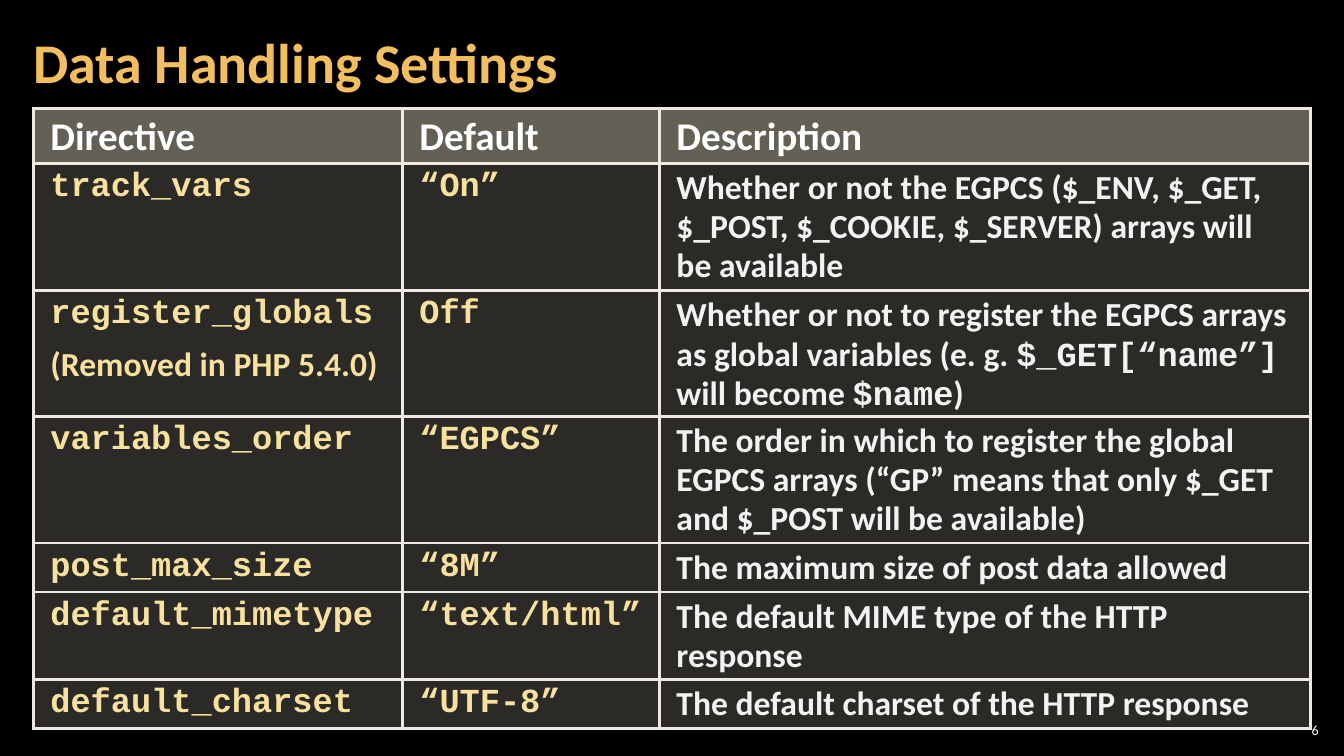
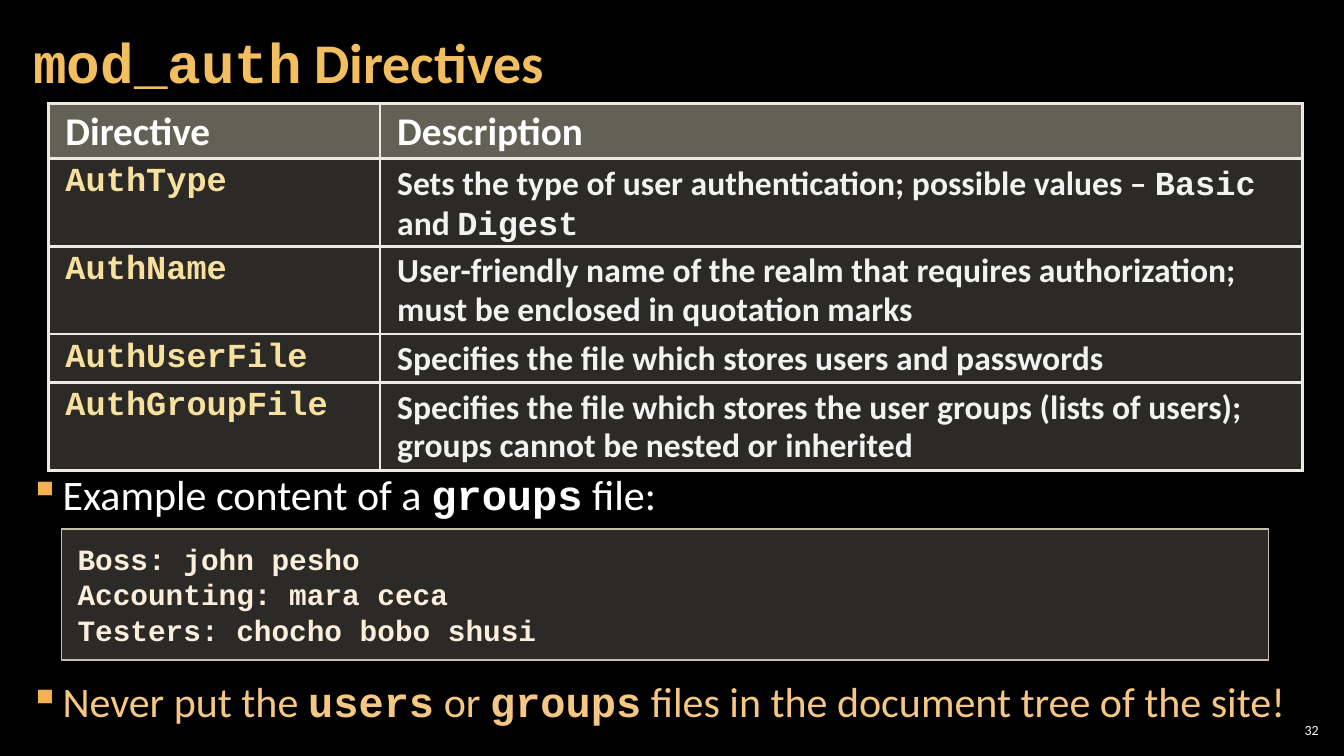
from lxml import etree
from pptx import Presentation
from pptx.dml.color import RGBColor
from pptx.enum.shapes import MSO_SHAPE
from pptx.enum.text import MSO_ANCHOR, MSO_AUTO_SIZE, PP_ALIGN
from pptx.oxml.ns import qn
from pptx.util import Inches, Pt

# Shared style
SANS, MONO = "Calibri", "Courier New"
BLACK = RGBColor(0x00, 0x00, 0x00)
WHITE = RGBColor(0xFF, 0xFF, 0xFF)
TITLE_GOLD = RGBColor(0xF3, 0xBE, 0x60)
BULLET_GOLD = RGBColor(0xF2, 0xB2, 0x54)
WARNING_GOLD = RGBColor(0xF6, 0xC7, 0x82)
CODE_YELLOW = RGBColor(0xF8, 0xE1, 0x9F)
CODE_CREAM = RGBColor(0xFB, 0xEE, 0xDC)
CELL_TEXT = RGBColor(0xF2, 0xF2, 0xF2)
HEADER_FILL = RGBColor(0xC6, 0xC0, 0xAA)
PANEL_FILL = RGBColor(0xD9, 0xD5, 0xC7)
PANEL_LINE = RGBColor(0xC7, 0xBF, 0xAC)
BORDER = RGBColor(0xEC, 0xEA, 0xE3)
HEADER_HEIGHT, CELL_PADDING, LINE_HEIGHT = 0.54, 0.1, 0.385

# Content: text between backticks is code; each row starts with its line count
SETTINGS = {
    "title": "Data Handling Settings",
    "number": "6",
    "position": (0.33, 1.08),
    "columns": (3.66, 2.55, 6.46),
    "header": ("Directive", "Default", "Description"),
    "rows": [
        (3, "`track_vars`", "`“On”`",
         "Whether or not the EGPCS ($_ENV, $_GET, $_POST, $_COOKIE, $_SERVER) "
         "arrays will be available"),
        (3, "`register_globals`\n(Removed in PHP 5.4.0)", "`Off`",
         "Whether or not to register the EGPCS arrays as global variables "
         "(e. g. `$_GET[“name”]` will become `$name`)"),
        (3, "`variables_order`", "`“EGPCS”`",
         "The order in which to register the global EGPCS arrays (“GP” means "
         "that only $_GET and $_POST will be available)"),
        (1, "`post_max_size`", "`“8M”`", "The maximum size of post data allowed"),
        (2, "`default_mimetype`", "`“text/html”`",
         "The default MIME type of the HTTP response"),
        (1, "`default_charset`", "`“UTF-8”`",
         "The default charset of the HTTP response"),
    ],
}
DIRECTIVES = {
    "title": "`mod_auth` Directives",
    "number": "32",
    "position": (0.48, 1.03),
    "columns": (3.29, 9.15),
    "header": ("Directive", "Description"),
    "rows": [
        (2, "`AuthType`",
         "Sets the type of user authentication; possible values – `Basic` and `Digest`"),
        (2, "`AuthName`",
         "User-friendly name of the realm that requires authorization; "
         "must be enclosed in quotation marks"),
        (1, "`AuthUserFile`", "Specifies the file which stores users and passwords"),
        (2, "`AuthGroupFile`",
         "Specifies the file which stores the user groups (lists of users); "
         "groups cannot be nested or inherited"),
    ],
}
# Text, colour, space before in points (the second leaves room for the code box)
BULLETS = [
    ("Example content of a `groups` file:", WHITE, 6),
    ("Never put the `users` or `groups` files in the document tree of the site!",
     WARNING_GOLD, 111),
]
GROUPS_FILE = ["Boss: john pesho", "Accounting: mara ceca", "Testers: chocho bobo shusi"]


def write(paragraph, text, size, color, bold=False):
    """Fill a paragraph; text between backticks is set in bold code type."""
    paragraph.font.size = Pt(size)
    paragraph.font.color.rgb = color
    paragraph.font.bold = bold
    for index, part in enumerate(text.split("`")):
        if part:
            run = paragraph.add_run()
            run.text = part
            is_code = index % 2 == 1
            run.font.name = MONO if is_code else SANS
            run.font.bold = bold or is_code


def set_margins(target, horizontal, vertical):
    target.margin_left = target.margin_right = Inches(horizontal)
    target.margin_top = target.margin_bottom = Inches(vertical)


def set_fill(fill, color, opacity):
    fill.solid()
    fill.fore_color.rgb = color
    # The public API has no transparency
    for node in fill._xPr.find(qn("a:solidFill")):
        etree.SubElement(node, qn("a:alpha"), val=str(opacity * 1000))


def set_borders(cell):
    properties = cell._tc.get_or_add_tcPr()
    for side in ("a:lnL", "a:lnR", "a:lnT", "a:lnB"):
        line = etree.SubElement(properties, qn(side), w=str(Pt(2.25)))
        solid = etree.SubElement(line, qn("a:solidFill"))
        etree.SubElement(solid, qn("a:srgbClr"), val=str(BORDER))


def set_bullet(paragraph):
    properties = paragraph._p.get_or_add_pPr()
    properties.set("marL", str(Inches(0.33)))
    properties.set("indent", str(-Inches(0.33)))
    color = etree.SubElement(properties, qn("a:buClr"))
    etree.SubElement(color, qn("a:srgbClr"), val=str(BULLET_GOLD))
    etree.SubElement(properties, qn("a:buChar"), char="▪")


def add_text_box(slide, left, top, width, height):
    box = slide.shapes.add_textbox(*map(Inches, (left, top, width, height)))
    box.text_frame.word_wrap = True
    return box.text_frame


def add_table(slide, content):
    heights = [HEADER_HEIGHT]
    heights += [CELL_PADDING + LINE_HEIGHT * row[0] for row in content["rows"]]
    rows = [content["header"]] + [row[1:] for row in content["rows"]]
    columns = content["columns"]
    size = (sum(columns), sum(heights))
    table = slide.shapes.add_table(
        len(rows), len(columns), *map(Inches, content["position"] + size)).table
    for column, width in zip(table.columns, columns):
        column.width = Inches(width)
    for row, height in zip(table.rows, heights):
        row.height = Inches(height)
    for row_index, texts in enumerate(rows):
        for column_index, text in enumerate(texts):
            cell = table.cell(row_index, column_index)
            set_margins(cell, 0.17, 0.05)
            set_borders(cell)
            if row_index == 0:
                set_fill(cell.fill, HEADER_FILL, 50)
                size, color = 28, WHITE
            else:
                set_fill(cell.fill, PANEL_FILL, 20)
                is_last = column_index == len(columns) - 1
                size, color = 24, CELL_TEXT if is_last else CODE_YELLOW
            frame = cell.text_frame
            for index, line in enumerate(text.split("\n")):
                paragraph = frame.add_paragraph() if index else frame.paragraphs[0]
                paragraph.line_spacing = 0.95
                if index:
                    paragraph.space_before = Pt(10)
                write(paragraph, line, size, color, bold=True)


def add_table_slide(presentation, content):
    slide = presentation.slides.add_slide(presentation.slide_layouts[5])
    # Title
    title = slide.shapes.title
    title.left, title.top = Inches(0.21), Inches(0.04)
    title.width, title.height = Inches(10.47), Inches(1.21)
    frame = title.text_frame
    frame.auto_size = MSO_AUTO_SIZE.NONE
    frame.vertical_anchor = MSO_ANCHOR.MIDDLE
    set_margins(frame, 0.12, 0.04)
    paragraph = frame.paragraphs[0]
    paragraph.alignment = PP_ALIGN.LEFT
    paragraph.line_spacing = 0.9
    write(paragraph, content["title"], 40, TITLE_GOLD, bold=True)
    # Slide number
    frame = add_text_box(slide, 12.65, 7.14, 0.47, 0.21)
    frame.vertical_anchor = MSO_ANCHOR.MIDDLE
    set_margins(frame, 0.04, 0.04)
    frame.paragraphs[0].alignment = PP_ALIGN.RIGHT
    write(frame.paragraphs[0], content["number"], 10, WHITE)
    add_table(slide, content)
    return slide


def add_groups_example(slide):
    # Bullets above and below the code box
    frame = add_text_box(slide, 0.17, 4.68, 12.91, 2.67)
    set_margins(frame, 0.12, 0.04)
    for index, (text, color, space_before) in enumerate(BULLETS):
        paragraph = frame.add_paragraph() if index else frame.paragraphs[0]
        paragraph.line_spacing = Pt(31)
        paragraph.space_before = Pt(space_before)
        paragraph.space_after = Pt(6)
        set_bullet(paragraph)
        write(paragraph, text, 30, color)
    # Code box
    box = slide.shapes.add_shape(
        MSO_SHAPE.RECTANGLE, *map(Inches, (0.61, 5.25, 11.97, 1.3)))
    box.shadow.inherit = False
    set_fill(box.fill, PANEL_FILL, 20)
    box.line.color.rgb = PANEL_LINE
    box.line.width = Pt(1)
    frame = box.text_frame
    frame.vertical_anchor = MSO_ANCHOR.TOP
    set_margins(frame, 0.16, 0.12)
    for index, line in enumerate(GROUPS_FILE):
        paragraph = frame.add_paragraph() if index else frame.paragraphs[0]
        paragraph.alignment = PP_ALIGN.LEFT
        write(paragraph, f"`{line}`", 21, CODE_CREAM, bold=True)


def main():
    presentation = Presentation()
    presentation.slide_width, presentation.slide_height = Inches(13.33), Inches(7.5)
    background = presentation.slide_master.background.fill
    background.solid()
    background.fore_color.rgb = BLACK
    add_table_slide(presentation, SETTINGS)
    add_groups_example(add_table_slide(presentation, DIRECTIVES))
    presentation.save("out.pptx")


if __name__ == "__main__":
    main()
